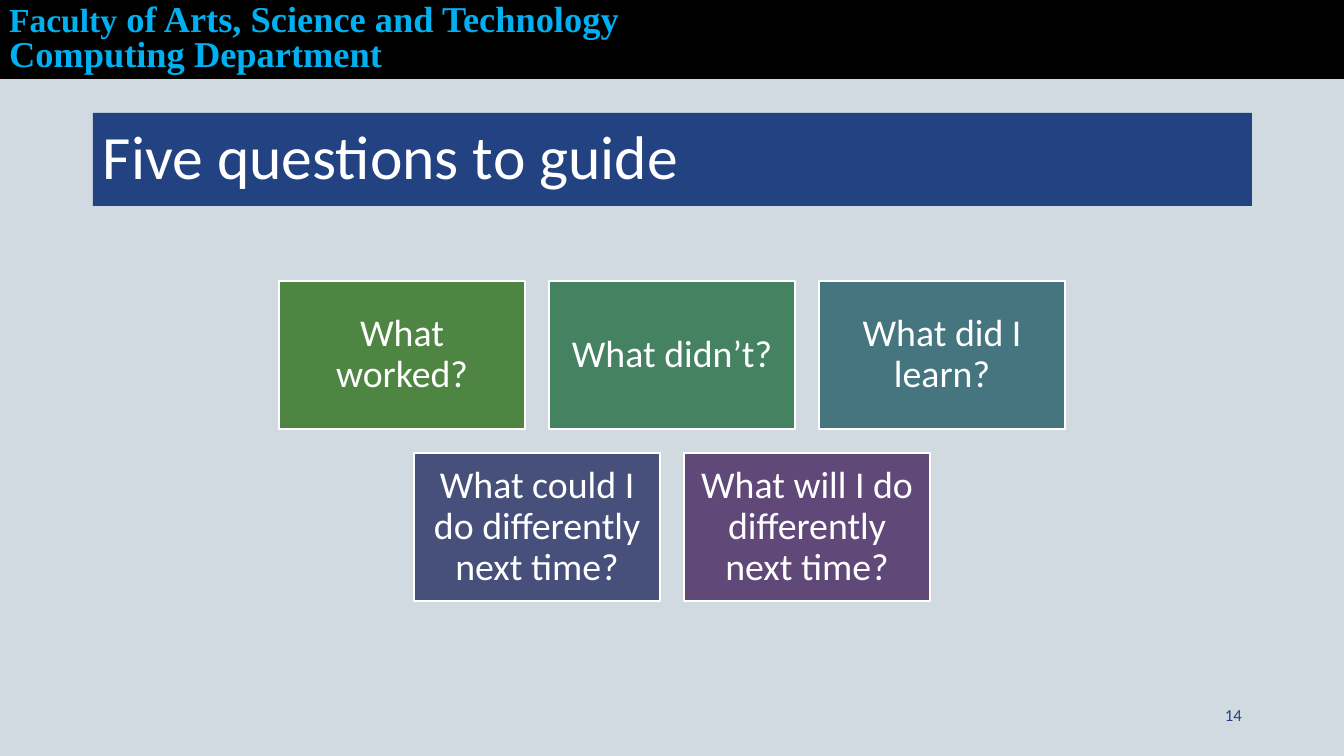
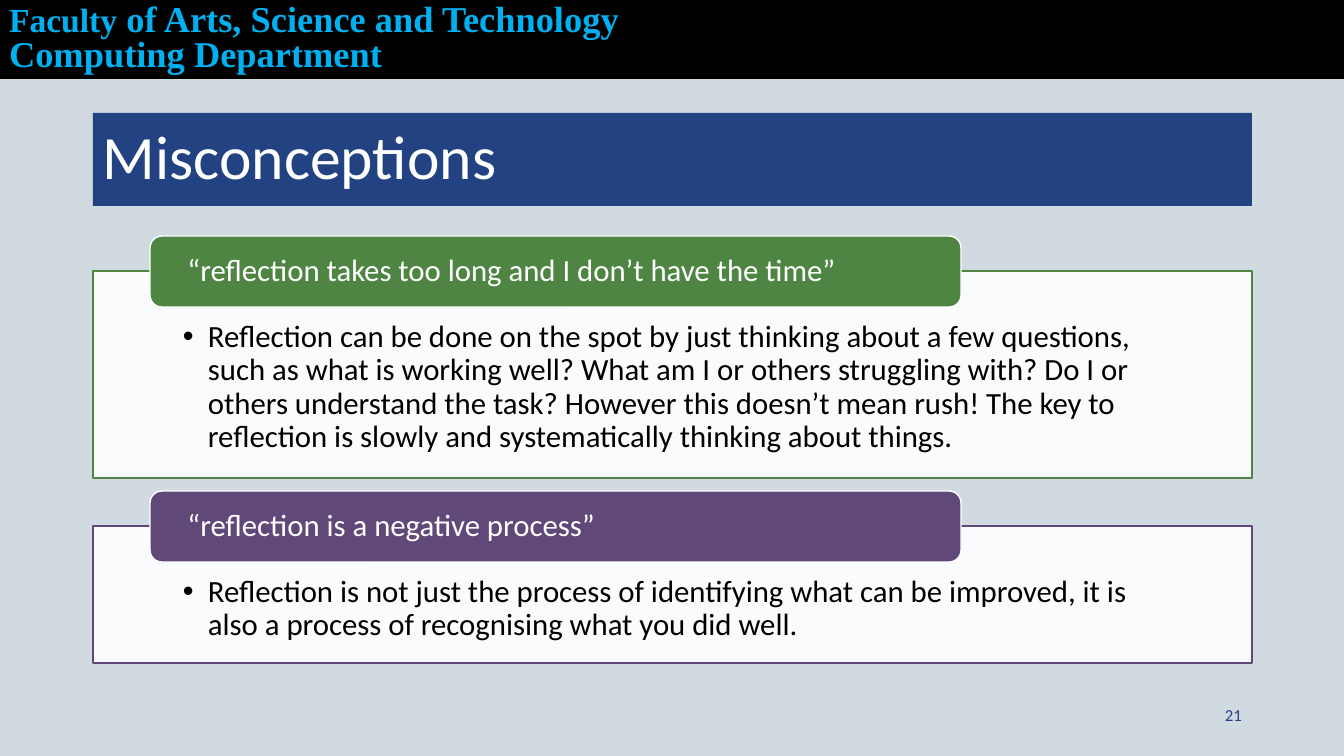
from lxml.etree import SubElement
from pptx import Presentation
from pptx.dml.color import RGBColor
from pptx.enum.shapes import MSO_SHAPE
from pptx.enum.text import MSO_ANCHOR, MSO_AUTO_SIZE, PP_ALIGN
from pptx.oxml.ns import qn
from pptx.util import Pt

PX = 9071  # EMU per px, 100.8 px to the inch
WIDTH, HEIGHT = 1344, 756
LEFT, CONTENT_WIDTH = 93, 1159
NAVY, WHITE, BLACK, SKY = "234281", "FFFFFF", "000000", "00B0F0"
GREEN, PURPLE = "4E8542", "604878"
rgb = RGBColor.from_string


def add_box(slide, kind, at, fill, line=None):
    sp = slide.shapes.add_shape(kind, *[v * PX for v in at])
    sp.shadow.inherit = False
    sp.fill.solid()
    sp.fill.fore_color.rgb = rgb(fill)
    if line:
        sp.line.color.rgb = rgb(line)
        sp.line.width = Pt(1)
    else:
        sp.line.fill.background()
    return sp


def write(sp, lines, color=WHITE, align=PP_ALIGN.LEFT, anchor=MSO_ANCHOR.MIDDLE,
          margins=(10, 5, 10, 5), spacing=0.9, font="Calibri", bold=False, bullet=None):
    """Fill a shape with lines, each a list of (text, size) runs."""
    tf = sp.text_frame
    frame = {"word_wrap": True, "auto_size": MSO_AUTO_SIZE.NONE, "vertical_anchor": anchor}
    for side, margin in zip(("left", "top", "right", "bottom"), margins):
        frame[f"margin_{side}"] = margin * PX
    for name, value in frame.items():
        setattr(tf, name, value)
    for i, runs in enumerate(lines):
        p = tf.add_paragraph() if i else tf.paragraphs[0]
        p.alignment, p.line_spacing = align, spacing
        if bullet:
            pPr = p._p.get_or_add_pPr()
            pPr.set("marL", str(25 * PX))
            pPr.set("indent", str(-25 * PX))
            SubElement(pPr, qn("a:buFont"), typeface="Arial")
            SubElement(pPr, qn("a:buChar"), char=bullet)
        for text, size in runs:
            r = p.add_run()
            r.text = text
            for name, value in {"name": font, "size": Pt(size), "bold": bold}.items():
                setattr(r.font, name, value)
            r.font.color.rgb = rgb(color)


prs = Presentation()
prs.slide_width, prs.slide_height = WIDTH * PX, HEIGHT * PX
layout = prs.slide_layouts[5]
background = prs.slide_master.background.fill
background.solid()
background.fore_color.rgb = rgb("D1D9E1")

# Titles and slide numbers
slides = []
for title, number in (("Five questions to guide", "14"), ("Misconceptions", "21")):
    s = prs.slides.add_slide(layout)
    slides.append(s)
    sp = s.shapes.title
    place = {"left": LEFT, "top": 113, "width": CONTENT_WIDTH, "height": 93}
    for name, value in place.items():
        setattr(sp, name, value * PX)
    sp.fill.solid()
    sp.fill.fore_color.rgb = rgb(NAVY)
    write(sp, [[(title, 44)]])
    sp = s.shapes.add_textbox(*[v * PX for v in (950, 695, 302, 40)])
    write(sp, [[(number, 12)]], color=NAVY, align=PP_ALIGN.RIGHT, spacing=1.0)

questions_slide, misconceptions_slide = slides

# Header band, moved to the layout so that every slide shows it
band = add_box(questions_slide, MSO_SHAPE.RECTANGLE, (0, 0, WIDTH, 79), BLACK)
header = questions_slide.shapes.add_textbox(*[v * PX for v in (-1, 0, 691, 90)])
write(header, [[("Faculty", 24), (" of Arts, Science and Technology", 26)],
               [("Computing Department", 26)]],
      color=SKY, anchor=MSO_ANCHOR.TOP, spacing=0.8, font="Times New Roman", bold=True)
for sp in (band, header):
    layout.shapes._spTree.append(sp._element)

# Question cards in centred rows
question_rows = [
    [("What worked?", GREEN), ("What didn’t?", "448262"), ("What did I learn?", "45757E")],
    [("What could I do differently next time?", "474F7B"),
     ("What will I do differently next time?", PURPLE)],
]
CARD_W, CARD_H, GAP = 246, 148, 24
for row, cards in enumerate(question_rows):
    left = (WIDTH - len(cards) * (CARD_W + GAP) + GAP) // 2
    top = 281 + row * (CARD_H + GAP)
    for col, (question, fill) in enumerate(cards):
        at = (left + col * (CARD_W + GAP), top, CARD_W, CARD_H)
        sp = add_box(questions_slide, MSO_SHAPE.RECTANGLE, at, fill, WHITE)
        write(sp, [[(question, 27)]], align=PP_ALIGN.CENTER, margins=(11, 11, 11, 11))

# Misconceptions, each a panel with a tab across its top edge
misconceptions = [
    ("“reflection takes too long and I don’t have the time”",
     "Reflection can be done on the spot by just thinking about a few questions, such as "
     "what is working well? What am I or others struggling with? Do I or others understand "
     "the task? However this doesn’t mean rush! The key to reflection is slowly and "
     "systematically thinking about things.", GREEN, 207),
    ("“reflection is a negative process”",
     "Reflection is not just the process of identifying what can be improved, it is also a "
     "process of recognising what you did well.", PURPLE, 137),
]
top = 271
TAB_H, TAB_RISE, PANEL_GAP = 71, 35, 13
for claim, answer, color, height in misconceptions:
    panel = add_box(misconceptions_slide, MSO_SHAPE.RECTANGLE,
                    (LEFT, top, CONTENT_WIDTH, height), WHITE, color)
    SubElement(panel.fill._xPr.find(qn("a:solidFill"))[0], qn("a:alpha"), val="90000")
    write(panel, [[(answer, 22)]], color=BLACK, anchor=MSO_ANCHOR.TOP,
          margins=(90, 50, 90, 17), bullet="•")
    tab = add_box(misconceptions_slide, MSO_SHAPE.ROUNDED_RECTANGLE,
                  (150, top - TAB_RISE, 811, TAB_H), color, WHITE)
    write(tab, [[(claim, 22)]], margins=(34, 0, 34, 0))
    top += height + PANEL_GAP + TAB_RISE

prs.save("out.pptx")
